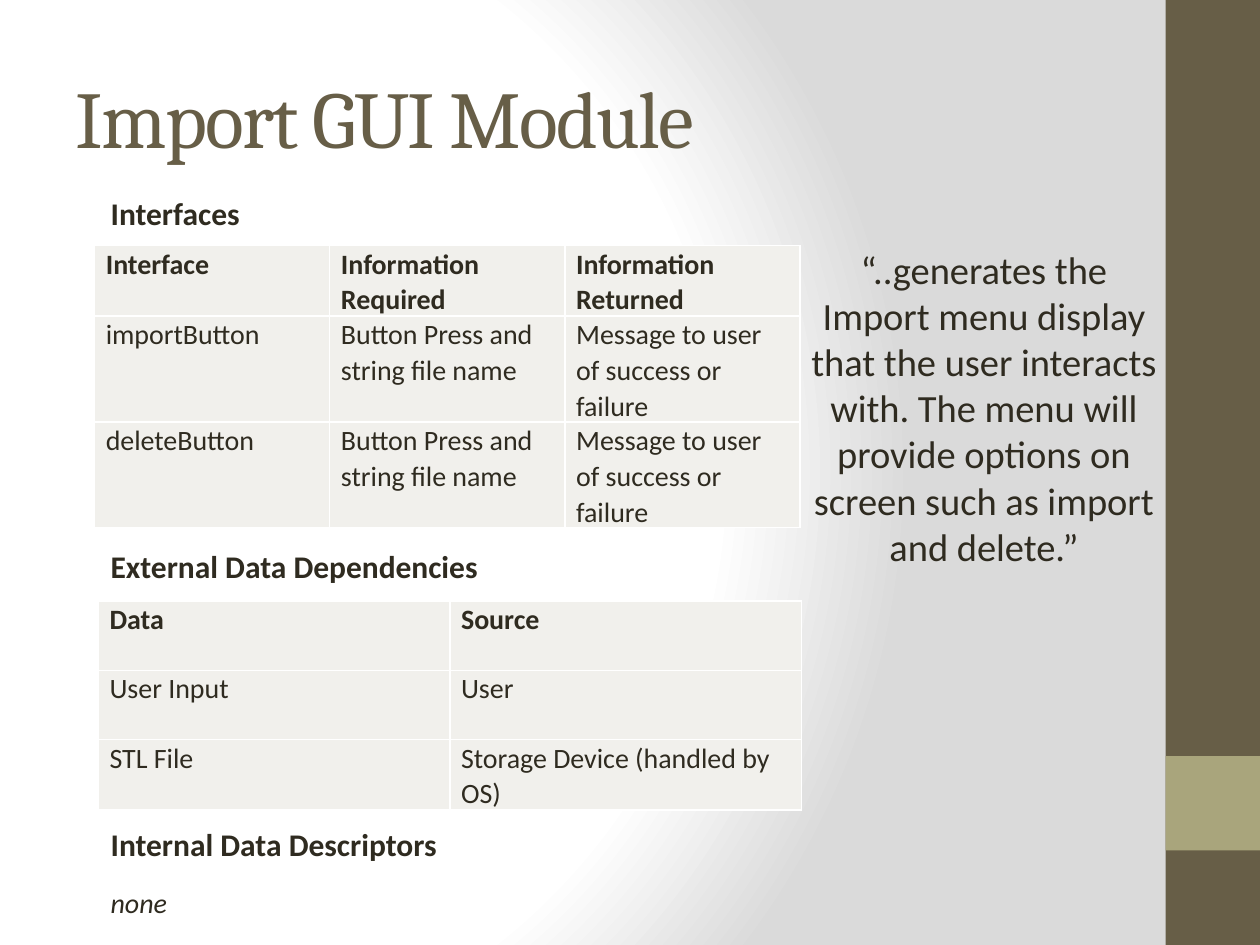
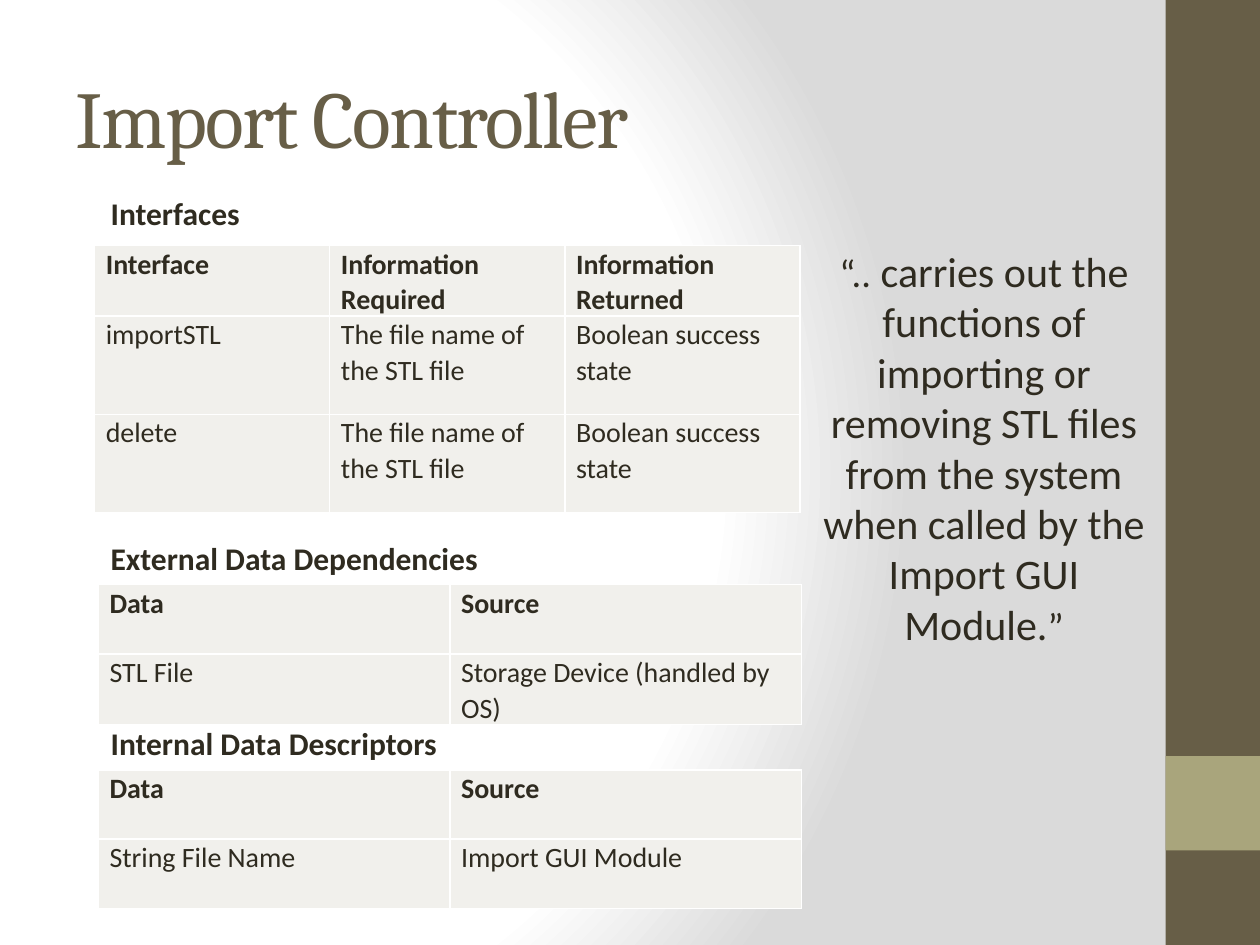
from pptx import Presentation
from pptx.dml.color import RGBColor
from pptx.enum.shapes import MSO_SHAPE
from pptx.enum.text import MSO_ANCHOR, MSO_AUTO_SIZE, PP_ALIGN
from pptx.oxml import parse_xml
from pptx.oxml.ns import nsdecls, qn
from pptx.util import Inches, Pt

OLIVE = RGBColor(0x67, 0x5E, 0x47)
SAGE = RGBColor(0xA9, 0xA5, 0x7C)
INK = RGBColor(0x2F, 0x2B, 0x20)
CELL = RGBColor(0xF1, 0xF0, 0xEC)
WHITE = RGBColor(0xFF, 0xFF, 0xFF)
GREY = RGBColor(0xDA, 0xDA, 0xDA)

WIDTH, HEIGHT = Inches(10), Inches(7.5)
COLUMNS, ROWS = 100, 75
TEXT_LEFT = 7.8

INTERFACE_HEADER = ["Interface", "Information Required", "Information Returned"]
DATA_HEADER = ["Data", "Source"]
STL_SOURCE = ["STL File", "Storage Device (handled by OS)"]
BUTTON_EXCHANGE = ["Button Press and string file name", "Message to user of success or failure"]
FILE_EXCHANGE = ["The file name of the STL file", "Boolean success state"]


class ModuleDeck:
    """Builds module slides on a grid of 100 columns by 75 rows."""

    def __init__(self):
        self.deck = Presentation()
        self.deck.slide_width, self.deck.slide_height = WIDTH, HEIGHT
        self.slide = None
        self.backdrop()

    def backdrop(self):
        master = self.deck.slide_master
        master.background.fill.solid()
        properties = master.element.find(".//" + qn("p:bgPr"))
        stops = "".join(
            f'<a:gs pos="{share * 1000}"><a:srgbClr val="{color}"/></a:gs>'
            for share, color in [(0, WHITE), (75, WHITE), (100, GREY)]
        )
        properties[0] = parse_xml(
            f'<a:gradFill rotWithShape="1" {nsdecls("a")}><a:gsLst>{stops}</a:gsLst>'
            '<a:path path="circle">'
            '<a:fillToRect l="20000" t="50000" r="100000" b="50000"/>'
            "</a:path></a:gradFill>"
        )

    def box(self, left, top, width, height):
        column, row = WIDTH / COLUMNS, HEIGHT / ROWS
        return [round(left * column), round(top * row), round(width * column), round(height * row)]

    def style(self, paragraph, size, color=INK, face="Calibri", bold=False, italic=False):
        font = paragraph.font
        font.size, font.name = Pt(size), face
        font.bold, font.italic = bold, italic
        font.color.rgb = color

    def page(self, heading):
        self.slide = self.deck.slides.add_slide(self.deck.slide_layouts[5])
        self.band(0, 75, OLIVE)
        self.band(60, 7.5, SAGE)
        title = self.slide.shapes.title
        title.left, title.top, title.width, title.height = self.box(5, 3, 83.3, 12.5)
        title.text = heading
        title.text_frame.vertical_anchor = MSO_ANCHOR.MIDDLE
        paragraph = title.text_frame.paragraphs[0]
        paragraph.alignment = PP_ALIGN.LEFT
        self.style(paragraph, 46, OLIVE, "Cambria")
        paragraph.runs[0].font._element.set("spc", "-100")

    def band(self, top, height, color):
        band = self.slide.shapes.add_shape(MSO_SHAPE.RECTANGLE, *self.box(92.5, top, 7.5, height))
        band.shadow.inherit = False
        band.fill.solid()
        band.fill.fore_color.rgb = color
        band.line.fill.background()

    def text(self, left, top, width, height, runs, size, align=PP_ALIGN.LEFT, **emphasis):
        frame = self.slide.shapes.add_textbox(*self.box(left, top, width, height)).text_frame
        frame.word_wrap = True
        frame.auto_size = MSO_AUTO_SIZE.SHAPE_TO_FIT_TEXT
        paragraph = frame.paragraphs[0]
        paragraph.alignment = align
        self.style(paragraph, size, **emphasis)
        for words, run_size in runs:
            run = paragraph.add_run()
            run.text = words
            if run_size != size:
                run.font.size = Pt(run_size)

    def section(self, top, heading):
        self.text(TEXT_LEFT, top, 33, 4, [(heading, 18)], 18, bold=True)

    def quote(self, height, runs):
        self.text(63.3, 19, 29.6, height, runs, 22, PP_ALIGN.CENTER)

    def table(self, left, top, width, row_heights, records, body_gap):
        frame = self.slide.shapes.add_table(
            len(records), len(records[0]), *self.box(left, top, width, sum(row_heights))
        )
        table = frame.table
        table.first_row = table.horz_banding = False
        for row, height in zip(table.rows, row_heights):
            row.height = round(height * HEIGHT / ROWS)
        for row_index, record in enumerate(records):
            header = row_index == 0
            for column_index, words in enumerate(record):
                cell = table.cell(row_index, column_index)
                cell.text = words
                cell.fill.solid()
                cell.fill.fore_color.rgb = CELL
                cell.margin_left = cell.margin_right = Inches(0.09)
                cell.margin_top = cell.margin_bottom = 0
                paragraph = cell.text_frame.paragraphs[0]
                paragraph.alignment = PP_ALIGN.JUSTIFY if header else PP_ALIGN.LEFT
                paragraph.line_spacing = 1.05
                paragraph.space_after = Pt(8 if header else body_gap)
                self.style(paragraph, 16, bold=header)

    def interfaces(self, records):
        self.section(14.9, "Interfaces")
        self.table(7.5, 19.5, 56, [5.1, 7.8, 7.8], [INTERFACE_HEADER, *records], 8)

    def data_sources(self, top, records):
        rows = [DATA_HEADER, *records]
        self.table(TEXT_LEFT, top, 55.8, [5.5] * len(rows), rows, 0)


def main():
    modules = ModuleDeck()

    modules.page("Import GUI Module")
    modules.interfaces([[name, *BUTTON_EXCHANGE] for name in ("importButton", "deleteButton")])
    modules.section(42.9, "External Data Dependencies")
    modules.data_sources(47.7, [["User Input", "User"], STL_SOURCE])
    modules.section(65, "Internal Data Descriptors")
    modules.text(TEXT_LEFT, 69.8, 19.1, 3.7, [("none", 16)], 16, italic=True)
    modules.quote(26.9, [(
        "“..generates the Import menu display that the user interacts with. "
        "The menu will provide options on screen such as import and delete.”", 22)])

    modules.page("Import Controller")
    modules.interfaces([[name, *FILE_EXCHANGE] for name in ("importSTL", "delete")])
    modules.section(42.3, "External Data Dependencies")
    modules.data_sources(46.4, [STL_SOURCE])
    modules.section(57, "Internal Data Descriptors")
    modules.data_sources(61.1, [["String File Name", "Import GUI Module"]])
    modules.quote(33.3, [
        ("“..", 22),
        (" carries out the functions of importing or removing STL files from the system "
         "when called by the Import GUI Module.", 24),
        ("”", 22)])

    modules.deck.save("out.pptx")


if __name__ == "__main__":
    main()
